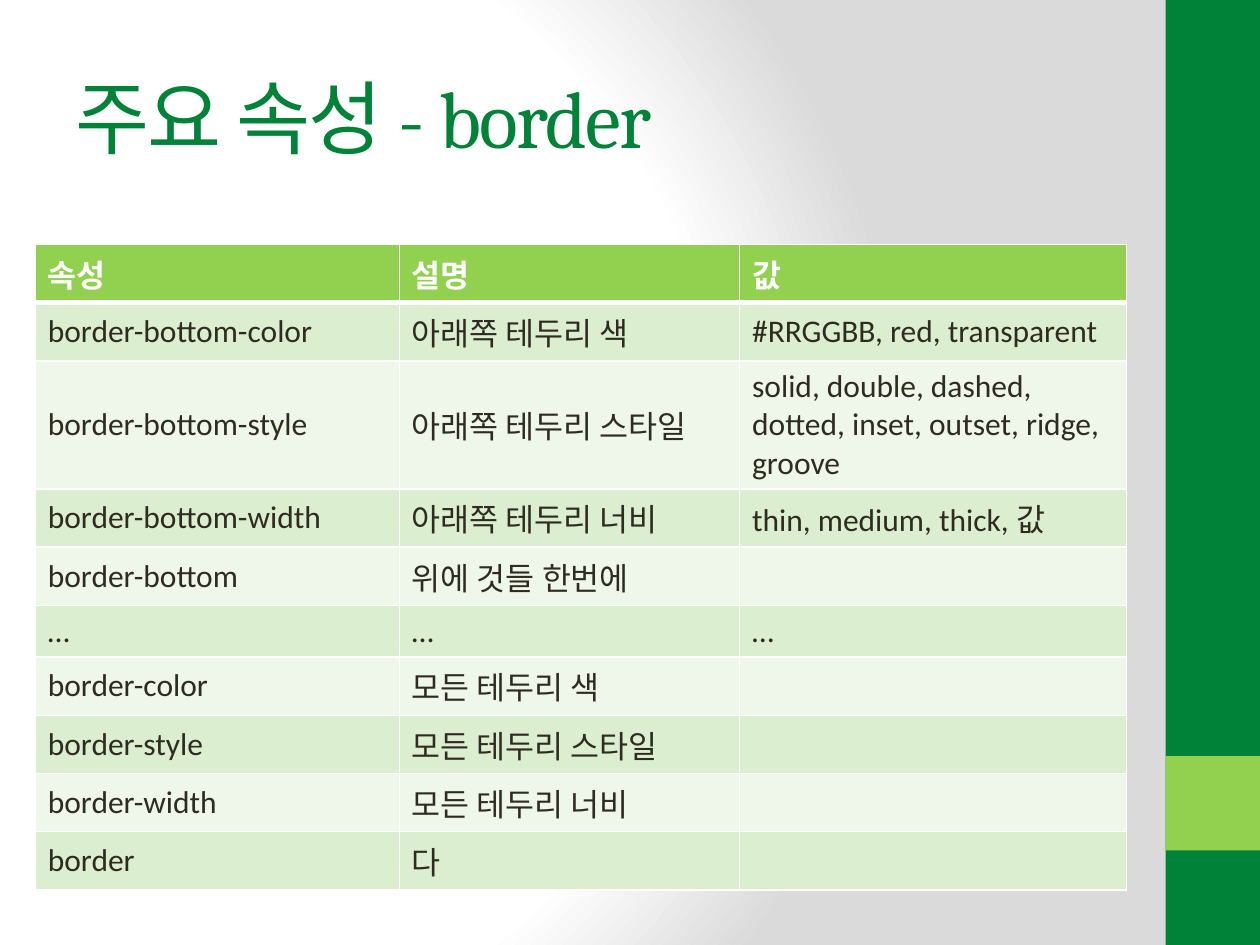
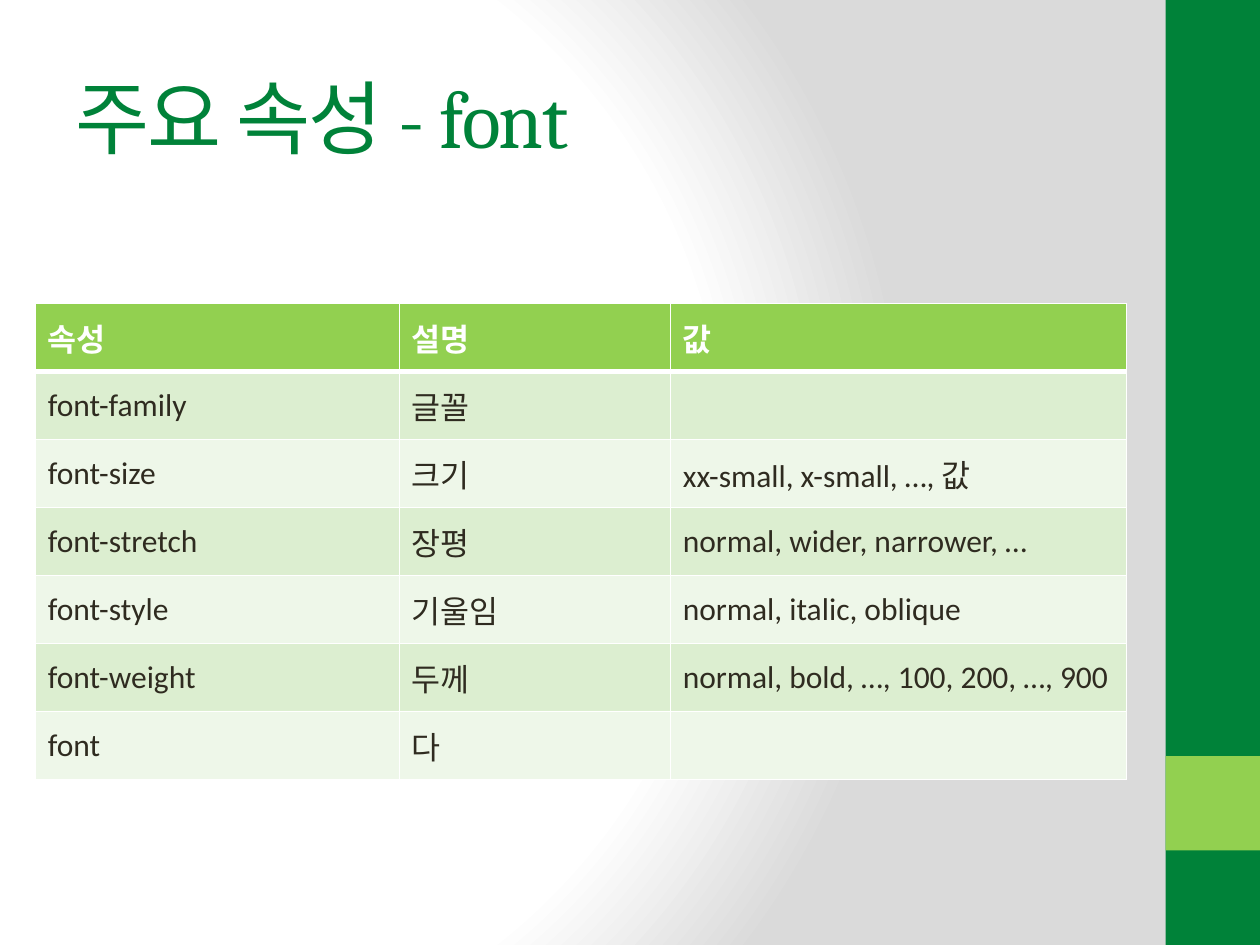
from dataclasses import dataclass

import lxml.etree
import pptx
import pptx.dml.color
import pptx.enum.shapes
import pptx.enum.text
import pptx.oxml
import pptx.oxml.ns
import pptx.presentation
import pptx.slide
import pptx.table
import pptx.util

COLORS = {
    "green": "008239",
    "lime": "92D050",
    "white": "FFFFFF",
    "gray": "DADADA",
    "text": "2F2B20",
    "odd_row": "DCEED0",
    "even_row": "EEF7E9",
}
TITLE_FONT, BODY_FONT = "Cambria", "Calibri"
SLIDE_WIDTH, SLIDE_HEIGHT = pptx.util.Inches(10), pptx.util.Inches(7.5)
GRID_COLUMNS, GRID_ROWS = 100, 75
HEADINGS = ("속성", "설명", "값")


@dataclass(frozen=True)
class Area:
    """A rectangle in grid columns and rows."""
    left: float
    top: float
    width: float
    height: float

    def lengths(self) -> tuple[int, int, int, int]:
        return across(self.left), down(self.top), across(self.width), down(self.height)


@dataclass(frozen=True)
class Band:
    area: Area
    color: str


@dataclass(frozen=True)
class PropertySlide:
    title: str
    table_top: float
    row_height: float
    column_widths: tuple[float, float, float]
    rows: tuple[tuple[str, str, str], ...]


TITLE_AREA = Area(5, 3, 83.3, 12.5)
TABLE_LEFT = 2.8
BANDS = (
    Band(Area(92.5, 0, 7.5, GRID_ROWS), "green"),
    Band(Area(92.5, 60, 7.5, 7.5), "lime"),
)
PROPERTY_SLIDES = (
    PropertySlide("주요 속성 - border", 19.4, 4.1, (28.9, 27, 30.7), (
        ("border-bottom-color", "아래쪽 테두리 색", "#RRGGBB, red, transparent"),
        ("border-bottom-style", "아래쪽 테두리 스타일",
         "solid, double, dashed, dotted, inset, outset, ridge, groove"),
        ("border-bottom-width", "아래쪽 테두리 너비", "thin, medium, thick, 값"),
        ("border-bottom", "위에 것들 한번에", ""),
        ("…", "…", "…"),
        ("border-color", "모든 테두리 색", ""),
        ("border-style", "모든 테두리 스타일", ""),
        ("border-width", "모든 테두리 너비", ""),
        ("border", "다", ""),
    )),
    PropertySlide("주요 속성 - font", 24.1, 5.4, (28.9, 21.5, 36.2), (
        ("font-family", "글꼴", ""),
        ("font-size", "크기", "xx-small, x-small, …, 값"),
        ("font-stretch", "장평", "normal, wider, narrower, …"),
        ("font-style", "기울임", "normal, italic, oblique"),
        ("font-weight", "두께", "normal, bold, …, 100, 200, …, 900"),
        ("font", "다", ""),
    )),
)


def across(columns: float) -> int:
    return round(SLIDE_WIDTH * columns / GRID_COLUMNS)


def down(rows: float) -> int:
    return round(SLIDE_HEIGHT * rows / GRID_ROWS)


def rgb(color: str) -> pptx.dml.color.RGBColor:
    return pptx.dml.color.RGBColor.from_string(COLORS[color])


def set_background(master: pptx.slide.SlideMaster) -> None:
    """Give every slide a round gradient from white to gray."""
    master.background.fill.background()
    no_fill = master.element.find(".//" + pptx.oxml.ns.qn("a:noFill"))
    stops = "".join(
        f'<a:gs pos="{share * 1000}"><a:srgbClr val="{COLORS[color]}"/></a:gs>'
        for share, color in ((0, "white"), (75, "white"), (100, "gray"))
    )
    gradient = pptx.oxml.parse_xml(
        f'<a:gradFill {pptx.oxml.ns.nsdecls("a")} rotWithShape="1"><a:gsLst>{stops}</a:gsLst>'
        '<a:path path="circle"><a:fillToRect l="20000" t="50000" r="100000" b="50000"/></a:path>'
        '</a:gradFill>'
    )
    no_fill.getparent().replace(no_fill, gradient)


def add_band(slide: pptx.slide.Slide, band: Band) -> None:
    shape = slide.shapes.add_shape(
        pptx.enum.shapes.MSO_SHAPE.RECTANGLE, *band.area.lengths())
    shape.shadow.inherit = False
    shape.fill.solid()
    shape.fill.fore_color.rgb = rgb(band.color)
    shape.line.fill.background()


def set_title(slide: pptx.slide.Slide, text: str) -> None:
    title = slide.shapes.title
    title.left, title.top, title.width, title.height = TITLE_AREA.lengths()
    frame = title.text_frame
    frame.text = text
    frame.word_wrap = True
    frame.auto_size = pptx.enum.text.MSO_AUTO_SIZE.NONE
    frame.vertical_anchor = pptx.enum.text.MSO_ANCHOR.MIDDLE
    paragraph = frame.paragraphs[0]
    paragraph.alignment = pptx.enum.text.PP_ALIGN.LEFT
    run = paragraph.runs[0]
    run.font.name = TITLE_FONT
    run.font.size = pptx.util.Pt(46)
    run.font.color.rgb = rgb("green")
    run.font._element.set("spc", "-100")


def add_borders(cell: pptx.table._Cell, row: int) -> None:
    """Draw white lines, with a thick one below the heading row."""
    properties = cell._tc.get_or_add_tcPr()
    widths = {"L": 1, "R": 1, "T": 3 if row == 1 else 1, "B": 3 if row == 0 else 1}
    for side, points in widths.items():
        line = lxml.etree.SubElement(
            properties, pptx.oxml.ns.qn(f"a:ln{side}"), w=str(pptx.util.Pt(points)))
        fill = lxml.etree.SubElement(line, pptx.oxml.ns.qn("a:solidFill"))
        lxml.etree.SubElement(fill, pptx.oxml.ns.qn("a:srgbClr"), val=COLORS["white"])


def format_cell(cell: pptx.table._Cell, text: str, row: int) -> None:
    is_heading = row == 0
    add_borders(cell, row)
    cell.fill.solid()
    cell.fill.fore_color.rgb = rgb(
        "lime" if is_heading else "odd_row" if row % 2 else "even_row")
    cell.vertical_anchor = pptx.enum.text.MSO_ANCHOR.MIDDLE
    cell.text_frame.text = text
    for run in cell.text_frame.paragraphs[0].runs:
        run.font.name = BODY_FONT
        run.font.size = pptx.util.Pt(18)
        run.font.bold = is_heading
        run.font.color.rgb = rgb("white" if is_heading else "text")


def add_property_table(slide: pptx.slide.Slide, content: PropertySlide) -> None:
    rows = (HEADINGS, *content.rows)
    area = Area(TABLE_LEFT, content.table_top,
                sum(content.column_widths), content.row_height * len(rows))
    table = slide.shapes.add_table(len(rows), len(HEADINGS), *area.lengths()).table
    for column, width in zip(table.columns, content.column_widths):
        column.width = across(width)
    for row_index, texts in enumerate(rows):
        table.rows[row_index].height = down(content.row_height)
        for column_index, text in enumerate(texts):
            format_cell(table.cell(row_index, column_index), text, row_index)


def add_property_slide(
    presentation: pptx.presentation.Presentation, content: PropertySlide
) -> None:
    title_only = presentation.slide_layouts.get_by_name("Title Only")
    slide = presentation.slides.add_slide(title_only)
    for band in BANDS:
        add_band(slide, band)
    set_title(slide, content.title)
    add_property_table(slide, content)


def main() -> None:
    presentation = pptx.Presentation()
    presentation.slide_width, presentation.slide_height = SLIDE_WIDTH, SLIDE_HEIGHT
    set_background(presentation.slide_master)
    for content in PROPERTY_SLIDES:
        add_property_slide(presentation, content)
    presentation.save("out.pptx")


if __name__ == "__main__":
    main()
